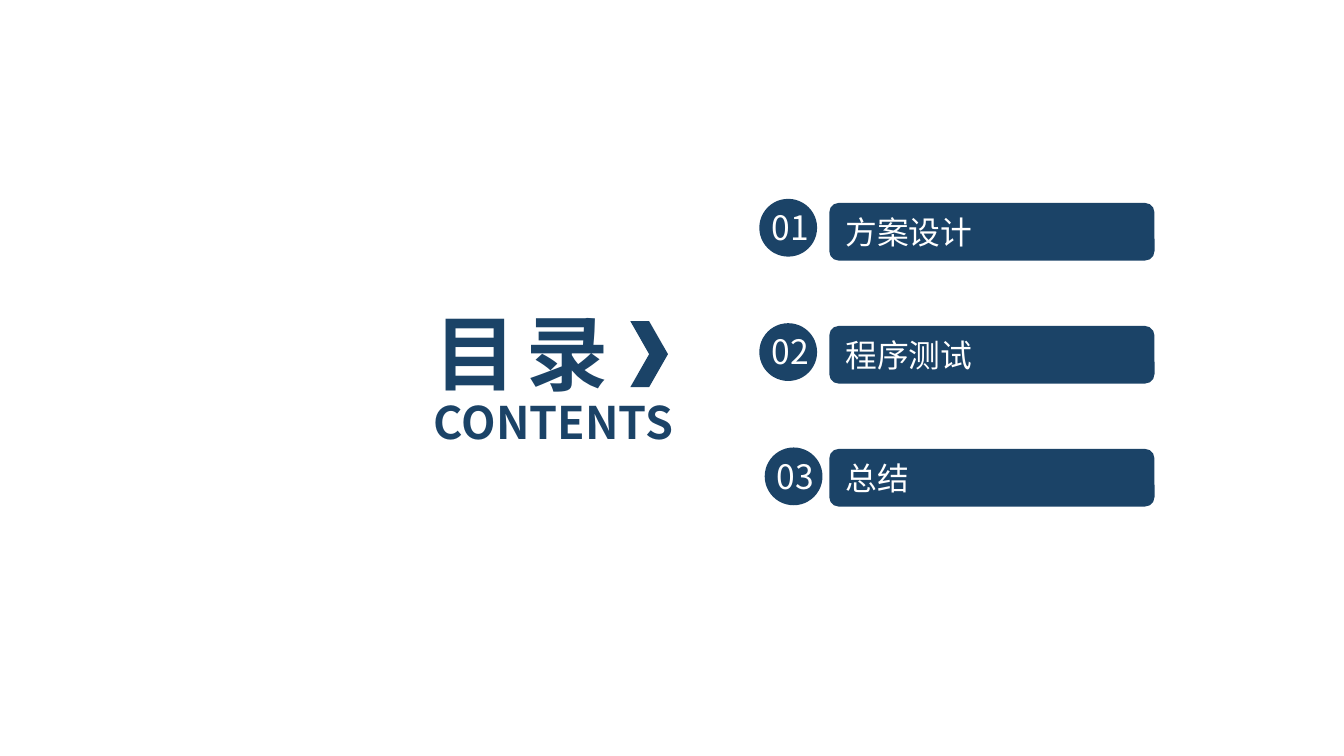
from pptx import Presentation
from pptx.dml.color import RGBColor
from pptx.enum.shapes import MSO_SHAPE
from pptx.enum.text import MSO_ANCHOR, MSO_AUTO_SIZE, PP_ALIGN
from pptx.oxml.ns import qn
from pptx.util import Inches, Pt

BAR, CIRCLE, CHEVRON = MSO_SHAPE.ROUNDED_RECTANGLE, MSO_SHAPE.OVAL, MSO_SHAPE.CHEVRON
MIDDLE, NO_FIT = MSO_ANCHOR.MIDDLE, MSO_AUTO_SIZE.NONE
LEFT, CENTER = PP_ALIGN.LEFT, PP_ALIGN.CENTER

NAVY = RGBColor(0x1B, 0x43, 0x67)
WHITE = RGBColor(0xFF, 0xFF, 0xFF)
FONT = "Noto Sans CJK SC"
TITLE_ONLY = 5

# Slide of 16:9
WIDTH = Inches(10)
HEIGHT = WIDTH * 9 // 16

# Agenda grid, in inches
ITEM_HEIGHT = 0.43
BAR_LEFT, BAR_TOP, BAR_WIDTH, BAR_STEP = 6.17, 1.51, 2.42, 0.915
CIRCLE_TOP, CIRCLE_STEP = 1.48, 0.925
ITEMS = [("方案设计", 5.65), ("程序测试", 5.65), ("总结", 5.69)]  # label, circle left


def write(box, text, color, size, align=LEFT, bold=False, spacing=None):
    """Put one formatted line into a shape, text box or placeholder."""
    frame = box.text_frame
    layout = {"word_wrap": True, "auto_size": NO_FIT, "vertical_anchor": MIDDLE}
    for name, value in layout.items():
        setattr(frame, name, value)
    para = frame.paragraphs[0]
    para.alignment = align
    para.line_spacing = 1.0
    span = para.add_run()
    span.text = text
    look = {"name": FONT, "size": Pt(size), "bold": bold}
    for name, value in look.items():
        setattr(span.font, name, value)
    span.font.color.rgb = color
    properties = span.font._element
    properties.find(qn("a:latin")).addnext(
        properties.makeelement(qn("a:ea"), {"typeface": FONT}))
    if spacing is not None:
        properties.set("spc", str(round(spacing * 100)))


def add_solid(shapes, kind, *place):
    """Add a plain navy shape."""
    shape = shapes.add_shape(kind, *map(Inches, place))
    shape.shadow.inherit = False
    shape.fill.solid()
    shape.fill.fore_color.rgb = NAVY
    shape.line.fill.background()
    return shape


def add_text(shapes, place, *text, **format_values):
    box = shapes.add_textbox(*map(Inches, place))
    write(box, *text, **format_values)


def add_heading(page):
    title = page.shapes.title
    place = {"left": 3.13, "top": 2.2, "width": 2.35, "height": 0.84}
    for name, value in place.items():
        setattr(title, name, Inches(value))
    write(title, "目 录", NAVY, 44, bold=True, spacing=-2.2)
    add_text(page.shapes, (3.13, 2.89, 2.31, 0.5), "CONTENTS", NAVY, 24, bold=True)
    add_solid(page.shapes, CHEVRON, 4.69, 2.39, 0.28, 0.49)


def add_item(page, row, label, circle_left):
    """Add one agenda row: a labelled bar and a numbered circle."""
    bar = add_solid(page.shapes, BAR, BAR_LEFT, BAR_TOP + row * BAR_STEP,
                    BAR_WIDTH, ITEM_HEIGHT)
    write(bar, label, WHITE, 17)

    top = CIRCLE_TOP + row * CIRCLE_STEP
    badge = page.shapes.add_group_shape().shapes
    add_solid(badge, CIRCLE, circle_left, top, ITEM_HEIGHT, ITEM_HEIGHT)
    add_text(badge, (circle_left - 0.03, top + 0.01, 0.52, 0.4),
             f"{row + 1:02d}", WHITE, 18, align=CENTER)


def main():
    deck = Presentation()
    deck.slide_width, deck.slide_height = WIDTH, HEIGHT
    page = deck.slides.add_slide(deck.slide_layouts[TITLE_ONLY])
    add_heading(page)
    for row, (label, circle_left) in enumerate(ITEMS):
        add_item(page, row, label, circle_left)
    deck.save("out.pptx")


if __name__ == "__main__":
    main()
